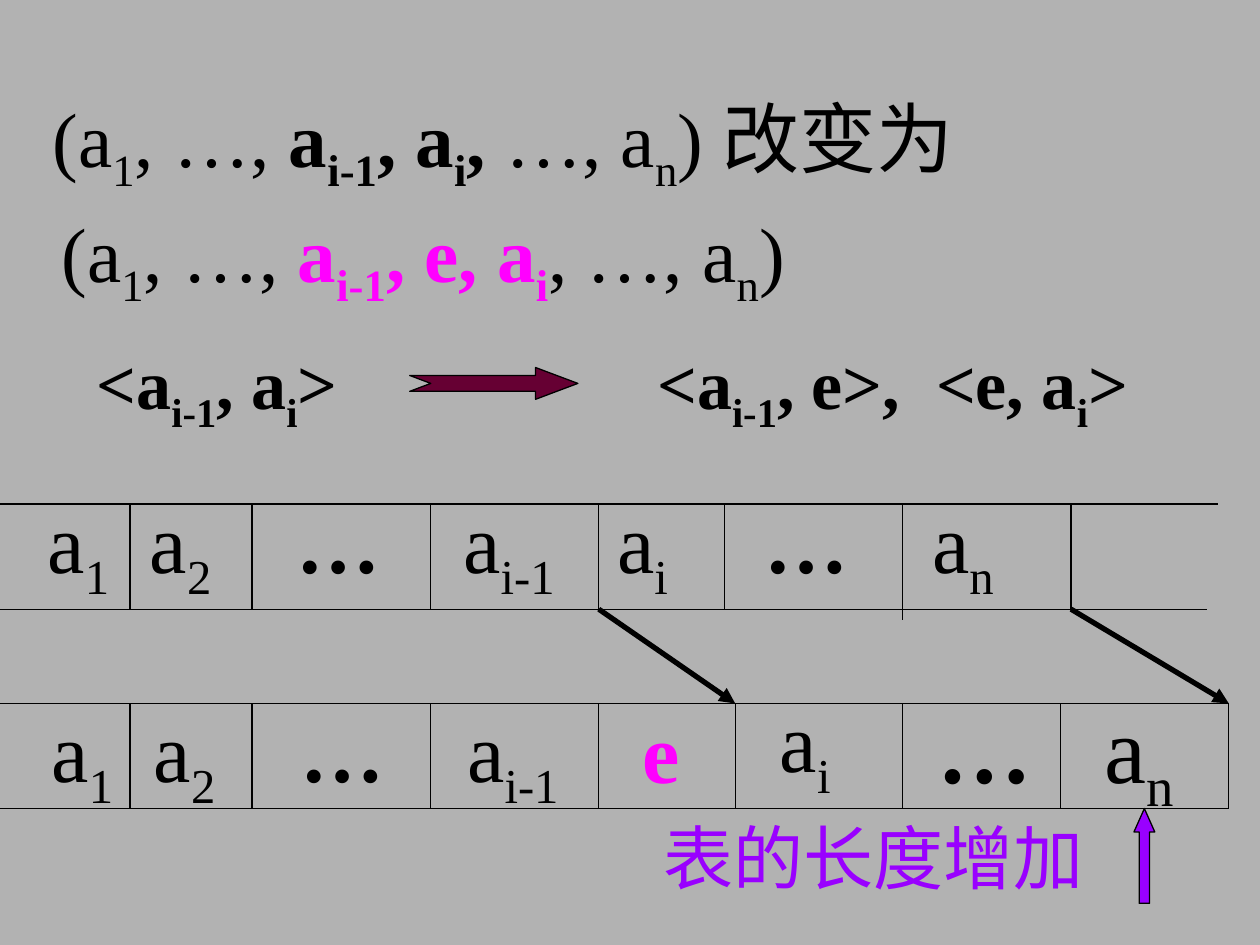
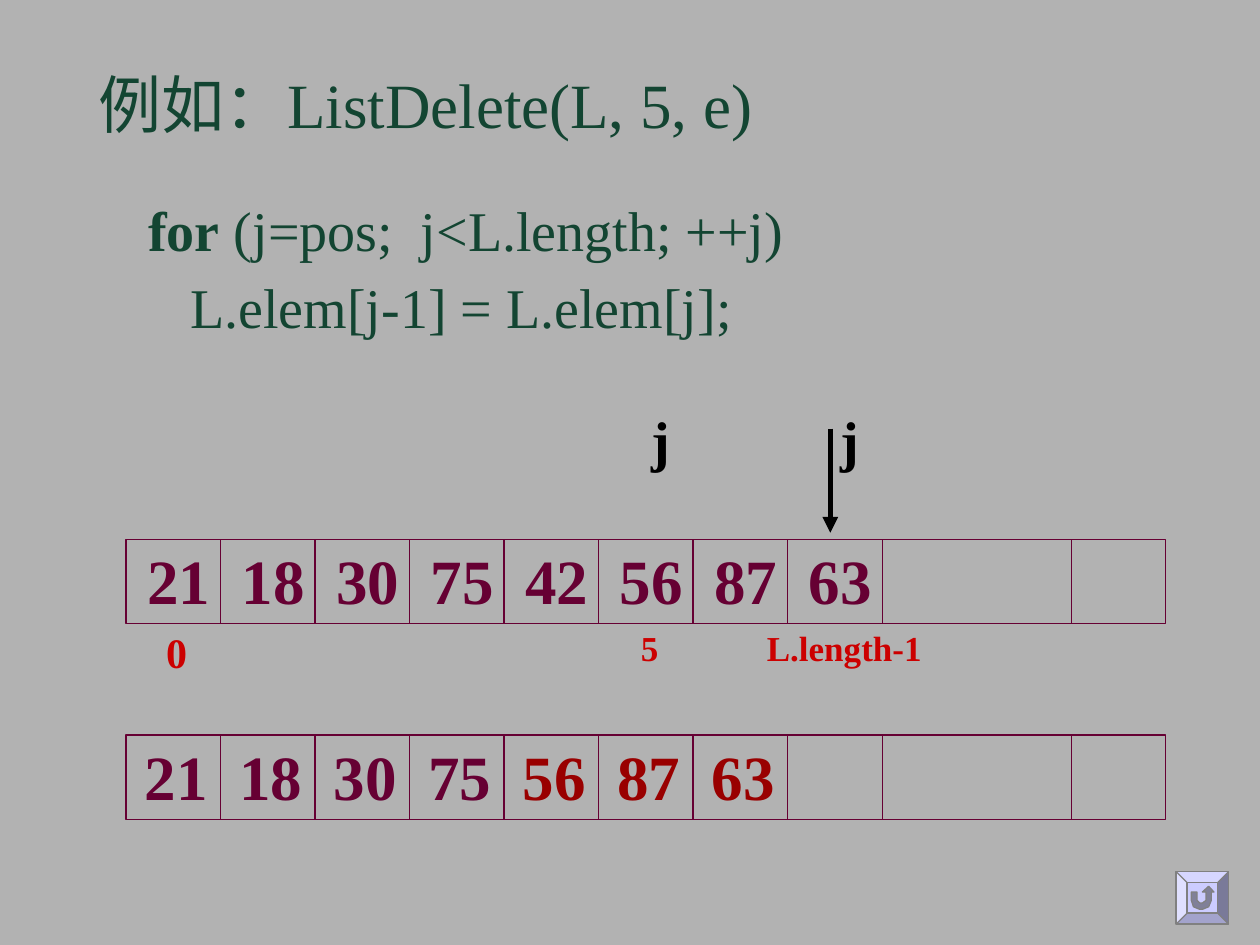
from dataclasses import dataclass

from lxml import etree
from pptx import Presentation
from pptx import util as u
from pptx.dml.color import RGBColor
from pptx.enum import shapes, text
from pptx.oxml.ns import qn

Cm = u.Cm


@dataclass(frozen=True)
class Theme:
    """Colours, type sizes and line widths of the deck."""
    font: str = "Times New Roman"
    ground: str = "B2B2B2"
    ink: str = "000000"
    inserted: str = "FF00FF"
    growth: str = "9900FF"
    wine: str = "660033"
    shifted: str = "990000"
    index: str = "CC0000"
    code: str = "134532"
    button: str = "CCCCFF"
    button_line: str = "808080"
    button_arrow: str = "808099"
    formula: int = 44
    cell: int = 48
    big_cell: int = 54
    pair: int = 40
    title: int = 36
    body: int = 32
    zero: int = 24
    small: int = 20
    hairline: float = 0.75
    bold_line: float = 3


T = Theme()


def rgb(value):
    """Turn a hex string into a colour."""
    return RGBColor.from_string(value)


def add_runs(paragraph, runs, size):
    """Add (markup, bold, colour) runs; text between bars is subscript."""
    for markup, bold, colour in runs:
        for order, part in enumerate(markup.split("|")):
            if not part:
                continue
            run = paragraph.add_run()
            run.text = part
            run.font.name, run.font.size = T.font, u.Pt(size)
            run.font.bold, run.font.color.rgb = bold, rgb(colour)
            if order % 2:
                run._r.get_or_add_rPr().set("baseline", "-25000")


def add_text(slide, box, lines, size, spacing=None):
    """Write lines of runs in a left-aligned box given in centimetres."""
    frame = slide.shapes.add_textbox(*map(Cm, box)).text_frame
    frame.word_wrap = True
    for order, runs in enumerate(lines):
        paragraph = frame.add_paragraph() if order else frame.paragraphs[0]
        paragraph.line_spacing = spacing
        add_runs(paragraph, runs, size)


def add_line(slide, start, end, colour=T.ink, width=T.hairline, arrow=False):
    """Draw a straight line, with an arrowhead at its end if asked."""
    line = slide.shapes.add_connector(
        shapes.MSO_CONNECTOR.STRAIGHT, *map(Cm, (*start, *end)))
    line.line.color.rgb, line.line.width = rgb(colour), u.Pt(width)
    properties = line._element.spPr
    if arrow:
        etree.SubElement(properties.find(qn("a:ln")), qn("a:tailEnd"), type="triangle")
    etree.SubElement(properties, qn("a:effectLst"))


def paint(shape, fill, line):
    """Give a shape its fill and outline and no shadow."""
    shape.shadow.inherit = False
    if fill:
        shape.fill.solid()
        shape.fill.fore_color.rgb = rgb(fill)
    else:
        shape.fill.background()
    shape.line.color.rgb, shape.line.width = rgb(line), u.Pt(T.hairline)


def add_preset(slide, kind, box, fill, line=T.ink, adjust=()):
    """Draw a preset shape in a box given in centimetres."""
    shape = slide.shapes.add_shape(kind, *map(Cm, box))
    for order, value in enumerate(adjust):
        shape.adjustments[order] = value
    paint(shape, fill, line)


def add_formulas(slide, left, top):
    """Write the list before and after the insertion."""
    before = [("(a|1|, …, ", False, T.ink), ("a|i-1|, a|i|, ", True, T.ink),
              ("…, a|n|) 改变为", False, T.ink)]
    after = [("(a|1|, …,", False, T.ink), (" a|i-1|, e, a|i|", True, T.inserted),
             (", …, a|n|)", False, T.ink)]
    add_text(slide, (left, top, 19.8, 2.39), [before], T.formula)
    add_text(slide, (left + 0.18, top + 2.31, 15.5, 2.39), [after], T.formula)


def add_pairs(slide, left, top):
    """Show how one ordered pair becomes two."""
    pairs = [(0, "<a|i-1|, a|i|>"), (11.3, "<a|i-1|, e>,"), (16.92, "<e, a|i|>")]
    for shift, pair in pairs:
        add_text(slide, (left + shift, top, 5.9, 2.18), [[(pair, True, T.ink)]], T.pair)
    add_preset(slide, shapes.MSO_SHAPE.NOTCHED_RIGHT_ARROW,
               (left + 6.56, top + 0.68, 3.39, 0.64), T.wine, adjust=(0.5, 1.33))


def add_storage(slide, top, height, ends, dividers, cells):
    """Draw a ruled storage row; cells are (left, drop, markup, bold, colour, size)."""
    for y, end in zip((top, top + height), ends):
        add_line(slide, (0, y), (end, y))
    for x in dividers:
        add_line(slide, (x, top), (x, top + height))
    for left, drop, markup, bold, colour, size in cells:
        add_text(slide, (left, top + drop, 2.6, 2.3), [[(markup, bold, colour)]], size)


def add_growth_note(slide, left, top):
    """Point out that the list has grown."""
    add_text(slide, (left, top, 9.2, 1.96), [[("表的长度增加", False, T.growth)]], T.pair)
    add_preset(slide, shapes.MSO_SHAPE.UP_ARROW, (left + 9.73, top, 0.42, 1.91),
               T.growth, adjust=(0.5, 1.126))


def build_insertion(prs):
    """Build the slide on what an insertion changes."""
    slide = prs.slides.add_slide(prs.slide_layouts[6])
    add_formulas(slide, 0.81, 1.7)
    add_pairs(slide, 1.7, 6.73)

    height, before, after = 2.12, 10.16, 14.18
    head_dividers = [2.62, 5.08, 8.68, 12.07]
    head = [(0.71, "a|1|"), (2.77, "a|2|"), (5.72, "…"), (9.09, "a|i-1|")]
    tail = [(12.19, "a|i|"), (15.16, "…"), (18.54, "a|n|")]

    def plain(items, shift, drop):
        return [(left + shift, drop, item, item == "…", T.ink, T.cell)
                for left, item in items]

    add_storage(slide, before, height, (24.55, 24.34),
                head_dividers + [14.61, 18.2, 21.59], plain(head + tail, 0, -0.42))
    add_line(slide, (18.2, before + height), (18.2, before + height + 0.21))
    moved = [(12.7, -0.21, "e", True, T.inserted, T.cell),
             (15.47, -0.42, "a|i|", False, T.ink, T.cell),
             (18.64, -0.42, "…", True, T.ink, T.big_cell),
             (22.02, -0.42, "a|n|", False, T.ink, T.big_cell)]
    add_storage(slide, after, height, (24.77, 24.77),
                head_dividers + [14.82, 18.2, 21.38, 24.77],
                plain(head, 0.08, -0.23) + moved)
    for start, end in ((12.07, 14.82), (21.59, 24.77)):
        add_line(slide, (start, before + height), (end, after),
                 width=T.bold_line, arrow=True)
    add_growth_note(slide, 13.13, after + height)


def add_array(slide, box, values, inset):
    """Draw an array of eleven cell widths; values are (number, colour)."""
    left, top, width, height = box
    cell = width / 11
    add_preset(slide, shapes.MSO_SHAPE.RECTANGLE, box, None, T.wine)
    for order in (*range(1, 9), 10):
        x = left + order * cell
        add_line(slide, (x, top), (x, top + height), T.wine)
    for order, (number, colour) in enumerate(values):
        add_text(slide, (left + inset + order * cell, top - 0.08, 1.9, 1.78),
                 [[(number, True, colour)]], T.title)


def add_pointers(slide, left, top):
    """Label the positions of an array whose corner is given."""
    labels = [(0.56, 1.63, "0", T.index, T.zero), (10.13, 1.63, "5", T.index, T.small),
              (12.67, 1.63, "L.length-1", T.index, T.small),
              (10.34, -2.82, "j", T.ink, T.body), (14.15, -2.82, "j", T.ink, T.body)]
    for x, y, label, colour, size in labels:
        width = 0.9 if len(label) == 1 else 4
        add_text(slide, (left + x, top + y, width, 1.3), [[(label, True, colour)]], size)
    add_line(slide, (left + 14.2, top - 2.23), (left + 14.2, top - 0.13),
             width=T.bold_line, arrow=True)


def add_return_button(slide, left, top, side):
    """Draw a bevelled button with a return arrow."""
    add_preset(slide, shapes.MSO_SHAPE.BEVEL, (left, top, side, side),
               T.button, T.button_line, (0.21,))
    outline = [(29, 39), (40, 39), (40, 55), (45, 60), (50, 60), (57, 55), (57, 39),
               (50, 39), (62, 28), (72, 39), (67, 39), (67, 55), (62, 67), (50, 72),
               (45, 72), (33, 67), (29, 55)]
    points = [(Cm(left + x * side / 100), Cm(top + y * side / 100)) for x, y in outline]
    builder = slide.shapes.build_freeform(*points[0])
    builder.add_line_segments(points[1:], close=True)
    paint(builder.convert_to_shape(), T.button_arrow, T.button_line)


def add_title(slide, box, title):
    """Place and format the title placeholder."""
    holder = slide.shapes.title
    holder.left, holder.top, holder.width, holder.height = map(Cm, box)
    frame = holder.text_frame
    frame.vertical_anchor = text.MSO_ANCHOR.TOP
    frame.auto_size = text.MSO_AUTO_SIZE.NONE
    frame.paragraphs[0].alignment = text.PP_ALIGN.LEFT
    add_runs(frame.paragraphs[0], [(title, False, T.code)], T.title)


def build_deletion(prs):
    """Build the slide that traces a deletion."""
    slide = prs.slides.add_slide(prs.slide_layouts[5])
    add_title(slide, (1.73, 1.19, 14.33, 1.78), "例如：ListDelete(L, 5, e)")
    loop = [[("for", True, T.code), (" (j=pos;  j<L.length; ++j)", False, T.code)],
            [("   L.elem[j-1] = L.elem[j];", False, T.code)]]
    add_text(slide, (2.74, 3.61, 13.8, 3.38), loop, T.body, 1.15)

    left, before, after, width, height = 2.54, 10.87, 14.82, 20.96, 1.7
    kept = [(number, T.wine) for number in "21 18 30 75".split()]
    rest = [(number, T.wine) for number in "42 56 87 63".split()]
    shifted = [(number, T.shifted) for number, _ in rest[1:]]
    add_array(slide, (left, before, width, height), kept + rest, 0.18)
    add_array(slide, (left, after, width, height), kept + shifted, 0.13)
    add_pointers(slide, left, before)
    add_return_button(slide, 23.71, 17.57, 1.06)


def main():
    """Build and save the deck."""
    prs = Presentation()
    prs.slide_width, prs.slide_height = Cm(25.4), Cm(19.05)
    ground = prs.slide_master.background.fill
    ground.solid()
    ground.fore_color.rgb = rgb(T.ground)
    build_insertion(prs)
    build_deletion(prs)
    prs.save("out.pptx")


if __name__ == "__main__":
    main()
